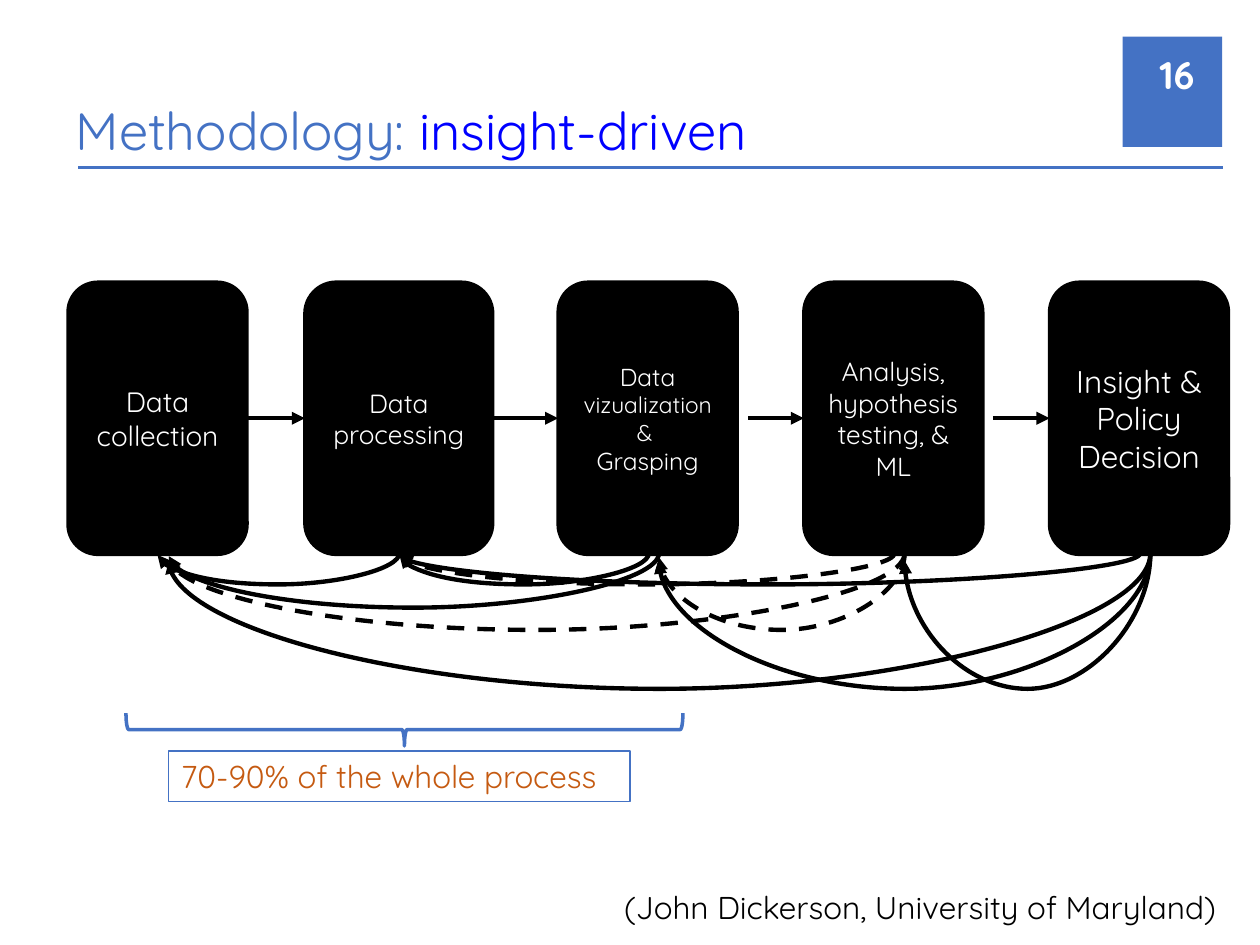
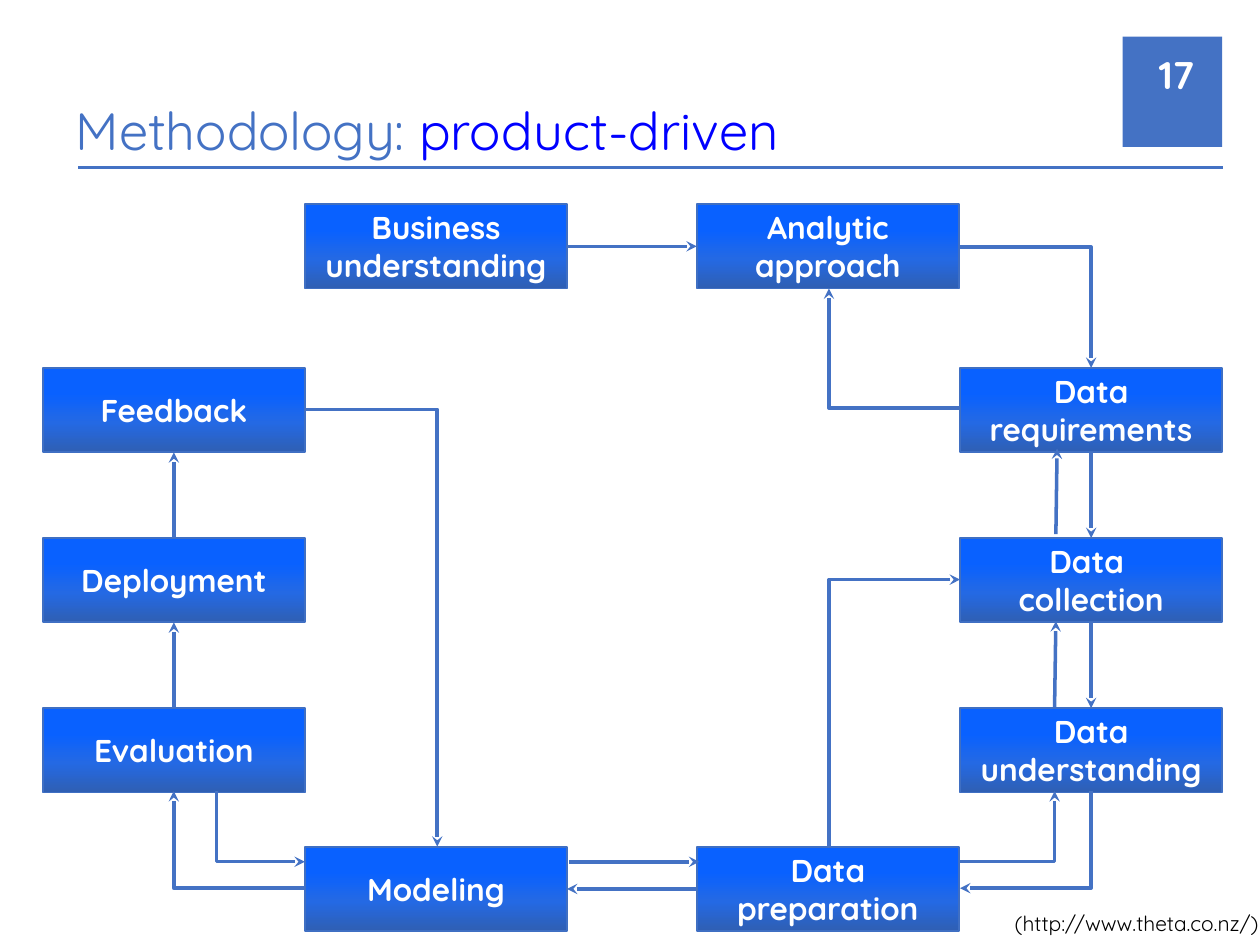
from lxml.etree import SubElement
from pptx import Presentation
from pptx.dml.color import RGBColor
from pptx.enum.dml import MSO_LINE_DASH_STYLE as Dash
from pptx.enum.shapes import MSO_CONNECTOR as Line, MSO_SHAPE as Preset
from pptx.enum.text import MSO_ANCHOR as Anchor, MSO_AUTO_SIZE as AutoSize, PP_ALIGN as Align
from pptx.oxml.ns import qn
from pptx.util import Inches, Pt

FONT = "Quicksand"
ACCENT = RGBColor(0x44, 0x72, 0xC4)
HIGHLIGHT = RGBColor(0x00, 0x00, 0xFF)
ORANGE = RGBColor(0xC5, 0x5A, 0x11)
BLACK = RGBColor(0x00, 0x00, 0x00)
WHITE = RGBColor(0xFF, 0xFF, 0xFF)
NODE_EDGE = RGBColor(0x3F, 0x6F, 0xC3)
NODE_STOPS = [(0, RGBColor(0x2F, 0x5F, 0xB3)), (35, RGBColor(0x24, 0x69, 0xE4)),
              (70, RGBColor(0x09, 0x61, 0xFF)), (100, RGBColor(0x09, 0x61, 0xFF))]

WIDTH, HEIGHT = Inches(10), Inches(7.5)
COLUMNS, ROWS = 100, 75
TOP, LEFT, BOTTOM, RIGHT = range(4)
LOOP_RATIO = 18  # depth of a feedback loop relative to its end-to-end drop


class Deck:
    """Holds the shared style and the current slide; lengths are grid columns and rows."""

    def __init__(self):
        self.presentation = Presentation()
        self.presentation.slide_width, self.presentation.slide_height = WIDTH, HEIGHT
        self.slide = None

    def grid(self, *lengths):
        """Turn alternating column and row counts into slide lengths."""
        units = (WIDTH / COLUMNS, HEIGHT / ROWS)
        return [round(length * units[index % 2]) for index, length in enumerate(lengths)]

    def new_slide(self, topic, number):
        self.slide = self.presentation.slides.add_slide(self.presentation.slide_layouts[5])
        title = self.slide.shapes.title
        title.left, title.top, title.width, title.height = self.grid(5, 5, 92.5, 8.3)
        self.add_runs(title, [[("Methodology: ", 30, ACCENT), (topic, 30, HIGHLIGHT)]],
                      Align.LEFT, Anchor.BOTTOM)
        self.shape(Preset.RECTANGLE, (89.1, 2.9, 7.9, 18), ACCENT)
        self.shape(Preset.RECTANGLE, (87.5, 11.7, 11.7, 10.8), WHITE, WHITE, 1)
        self.line((6.2, 13.3), (97.1, 13.3), ACCENT, 2)
        self.text((90.3, 3.9, 5.5, 4), number, 22, WHITE, Anchor.MIDDLE, bold=True)

    def add_runs(self, shape, paragraphs, align, anchor, bold=False):
        """Fill a shape with paragraphs, each a list of (text, size, colour) runs."""
        frame = shape.text_frame
        frame.word_wrap = True
        frame.auto_size = AutoSize.NONE
        frame.vertical_anchor = anchor
        for index, runs in enumerate(paragraphs):
            paragraph = frame.add_paragraph() if index else frame.paragraphs[0]
            paragraph.alignment = align
            for text, size, color in runs:
                for part_index, part in enumerate(text.split("\n")):
                    if part_index:
                        paragraph.add_line_break()
                    run = paragraph.add_run()
                    run.text = part
                    run.font.name, run.font.size, run.font.bold = FONT, Pt(size), bold
                    run.font.color.rgb = color

    def text(self, box, text, size, color, anchor=Anchor.TOP, bold=False):
        """Add a right-aligned text box."""
        shape = self.slide.shapes.add_textbox(*self.grid(*box))
        self.add_runs(shape, [[(text, size, color)]], Align.RIGHT, anchor, bold)

    def shape(self, preset, box, fill=None, edge=None, weight=1.0):
        shape = self.slide.shapes.add_shape(preset, *self.grid(*box))
        shape.shadow.inherit = False
        for target, color in ((shape.fill, fill), (shape.line.fill, edge)):
            if color is None:
                target.background()
            else:
                target.solid()
                target.fore_color.rgb = color
        if edge is not None:
            shape.line.width = Pt(weight)
        return shape

    def stage(self, left, width, paragraphs):
        """Add a black rounded box of the pipeline."""
        shape = self.shape(Preset.ROUNDED_RECTANGLE, (left, 22.4, width, 21.6), BLACK, BLACK, 2)
        self.add_runs(shape, paragraphs, Align.CENTER, Anchor.MIDDLE)
        return shape

    def node(self, left, top, label):
        """Add a blue gradient box of the process cycle."""
        shape = self.shape(Preset.RECTANGLE, (left, top, 20.8, 6.7), ACCENT, NODE_EDGE)
        shape.fill.gradient()
        shape.fill.gradient_angle = 90
        stops = shape.element.spPr.find(qn("a:gradFill")).find(qn("a:gsLst"))
        stops.clear()
        for position, color in NODE_STOPS:
            stop = SubElement(stops, qn("a:gs"), pos=str(position * 1000))
            SubElement(stop, qn("a:srgbClr"), val=str(color))
        self.add_runs(shape, [[(label, 18, WHITE)]], Align.CENTER, Anchor.MIDDLE, bold=True)
        return shape

    def line(self, start, end, color, weight, head=None, tail=None, kind=Line.STRAIGHT, dash=None):
        """Draw a connector; an end is a grid point or a (shape, side) pair to join."""
        joins = [not isinstance(point[0], (int, float)) for point in (start, end)]
        points = [(0, 0) if joined else point for joined, point in zip(joins, (start, end))]
        connector = self.slide.shapes.add_connector(kind, *self.grid(*points[0], *points[1]))
        if joins[0]:
            connector.begin_connect(*start)
        if joins[1]:
            connector.end_connect(*end)
        connector.line.color.rgb = color
        connector.line.width = Pt(weight)
        if dash:
            connector.line.dash_style = dash
        properties = connector.element.spPr
        outline = properties.find(qn("a:ln"))
        for tag, arrow in (("a:headEnd", head), ("a:tailEnd", tail)):
            if arrow:
                SubElement(outline, qn(tag), type=arrow)
        SubElement(properties, qn("a:effectLst"))
        return connector

    def elbow(self, start, end, **arrows):
        """Draw a one-corner connector that leaves its start horizontally."""
        connector = self.line(start, end, ACCENT, 2, kind=Line.ELBOW, **arrows)
        connector.element.spPr.find(qn("a:prstGeom")).set("prst", "bentConnector2")

    def loop(self, start, end, depth, dash=None):
        """Draw a curved arrow that hangs below the stages, from right to left."""
        span, drop = start - end, depth / LOOP_RATIO
        middle_x, middle_y = (start + end) / 2, 43.9 + drop / 2
        connector = self.line((middle_x - drop / 2, middle_y - span / 2),
                              (middle_x + drop / 2, middle_y + span / 2),
                              BLACK, 2.5, tail="triangle", kind=Line.CURVE, dash=dash)
        properties = connector.element.spPr
        properties.find(qn("a:xfrm")).set("rot", str(90 * 60000))
        geometry = properties.find(qn("a:prstGeom"))
        adjustments = geometry.find(qn("a:avLst"))
        if adjustments is None:
            adjustments = SubElement(geometry, qn("a:avLst"))
        SubElement(adjustments, qn("a:gd"), name="adj1", fmla=f"val {LOOP_RATIO * 100000}")


def build_insight_slide(deck):
    deck.new_slide("insight-driven", "16")
    stages = [deck.stage(left, width, [[(text, size, WHITE) for text, size in runs] for runs in lines])
              for left, width, lines in (
        (5.4, 14.2, [[("Data collection", 16)]]),
        (24.2, 14.9, [[("Data processing", 15)]]),
        (44.3, 14.2, [[("Data ", 14), ("vizualization", 13)], [("& ", 13)], [("Grasping", 14)]]),
        (63.8, 14.2, [[("Analysis, hypothesis testing, & ML", 15)]]),
        (83.3, 14.2, [[("Insight & Policy Decision", 18)]]))]
    starts = [(stages[0], RIGHT), (stages[1], RIGHT), (59.4, 33.2), (78.8, 33.2)]
    for start, stage in zip(starts, stages[1:]):
        deck.line(start, (stage, LEFT), BLACK, 2.5, tail="triangle")

    for start, end, depth, dash in (
            (31.7, 12.5, 2.5, None), (51.5, 31.7, 2.5, None), (52.3, 13.4, 4.3, None),
            (71.8, 52.3, 6.1, Dash.DASH), (71, 31.7, 2.5, Dash.DASH), (71.8, 13.4, 6.1, Dash.DASH),
            (91.3, 71.8, 10.8, None), (91.3, 52.3, 10.8, None),
            (90.5, 31.7, 2.5, None), (91.3, 13.4, 10.8, None)):
        deck.loop(start, end, depth, dash)

    brace = deck.shape(Preset.LEFT_BRACE, (30.8, 35.8, 2.6, 44.2), None, ACCENT, 2)
    brace.rotation = 270
    share = deck.shape(Preset.RECTANGLE, (13.4, 59.6, 36.6, 4), None, ACCENT, 0.75)
    deck.add_runs(share, [[("70-90% of the whole process", 18, ORANGE)]], Align.LEFT, Anchor.TOP)
    deck.text((19.2, 70, 78.3, 4), "(John Dickerson, University of Maryland)", 18, BLACK)


def build_product_slide(deck):
    deck.new_slide("product-driven", "17")
    deck.text((72.3, 71.8, 28.6, 3), "(http://www.theta.co.nz/)", 12, BLACK)
    lefts, tops = (3.4, 24.2, 55.3, 76.2), (16.2, 29.2, 42.7, 56.2, 67.2)
    (business, approach, requirements, collection, understanding,
     preparation, modeling, evaluation, deployment, feedback) = [
        deck.node(lefts[column], tops[row], label) for label, column, row in (
            ("Business understanding", 1, 0), ("Analytic approach", 2, 0),
            ("Data requirements", 3, 1), ("Data \ncollection", 3, 2),
            ("Data understanding", 3, 3), ("Data preparation", 2, 4), ("Modeling", 1, 4),
            ("Evaluation", 0, 3), ("Deployment", 0, 2), ("Feedback", 0, 1))]

    for start, end in (
            ((business, RIGHT), (approach, LEFT)),
            ((requirements, BOTTOM), (collection, TOP)),
            ((collection, BOTTOM), (understanding, TOP)),
            ((evaluation, TOP), (deployment, BOTTOM)),
            ((deployment, TOP), (feedback, BOTTOM)),
            ((preparation, LEFT), (modeling, RIGHT)),
            ((45.2, 68.4), (55.5, 68.4)),
            ((83.7, 56.1), (83.8, 49.3)),
            ((83.8, 42.4), (83.9, 35.6))):
        deck.line(start, end, ACCENT, 2, tail="stealth")

    for start, end in (((76.2, 19.6), (86.6, 29.2)), ((24.2, 32.5), (34.7, 67.2)),
                       ((24.2, 70.5), (13.8, 62.8)), ((76.2, 68.4), (83.7, 62.8)),
                       ((76.2, 32.4), (65.8, 22.9))):
        deck.elbow(start, end, tail="stealth")
    for start, end in (((76.2, 46), (65.8, 67.2)), ((76.2, 70.5), (86.6, 62.8)),
                       ((24.2, 68.4), (17.2, 62.8))):
        deck.elbow(start, end, head="stealth")


def main():
    deck = Deck()
    build_insight_slide(deck)
    build_product_slide(deck)
    deck.presentation.save("out.pptx")


if __name__ == "__main__":
    main()
